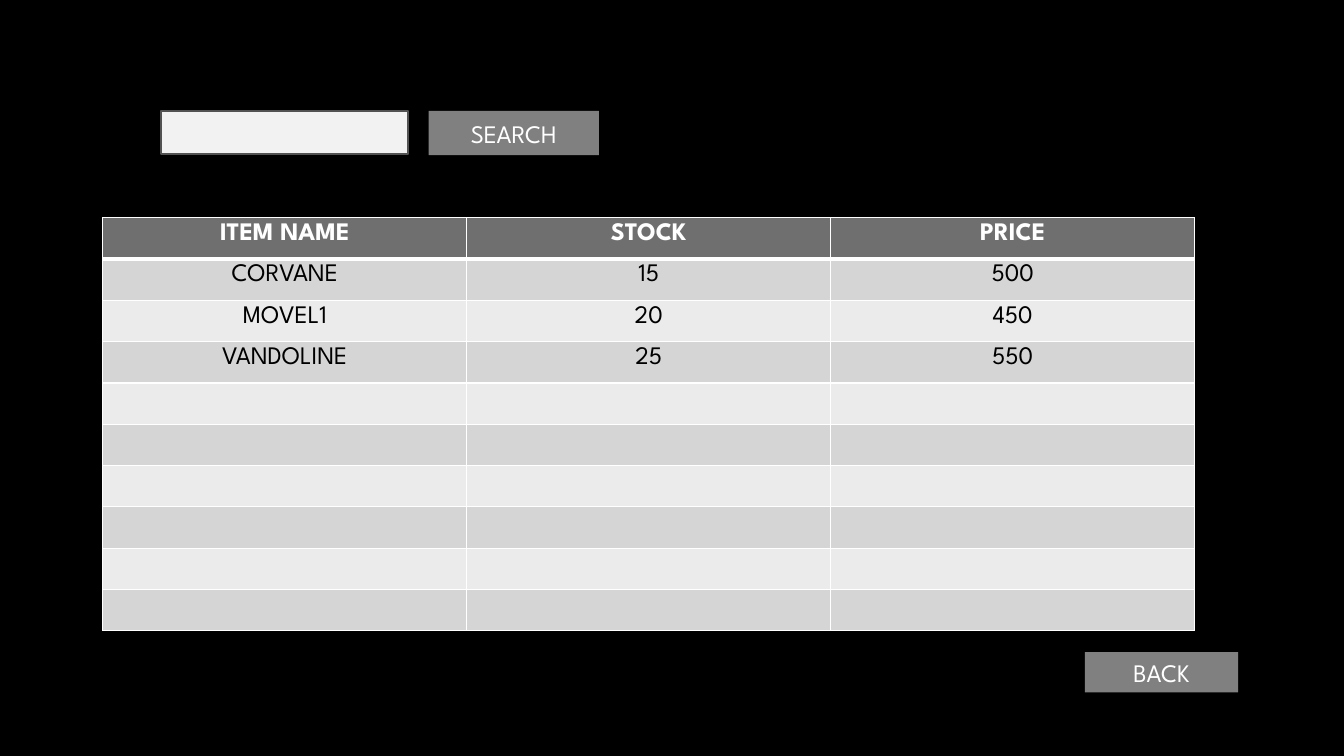
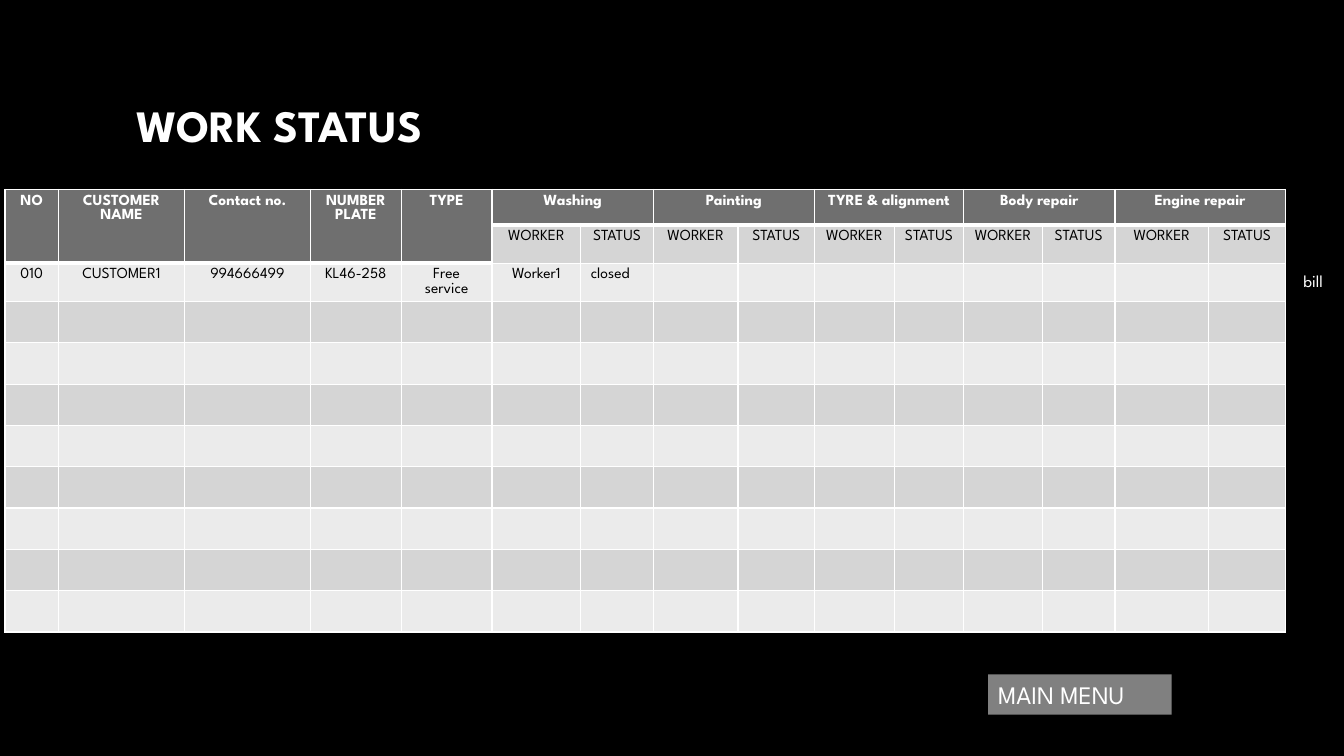
from lxml.etree import SubElement as Sub
from pptx import Presentation
from pptx.dml.color import RGBColor as Rgb
from pptx.enum.shapes import MSO_SHAPE as Geo
from pptx.enum.text import MSO_ANCHOR as Anchor, PP_ALIGN as Align
from pptx.oxml.ns import qn
from pptx.util import Inches, Pt

FONT = "League Spartan"
HUES = {
    "back": "000000", "ink": "000000", "light": "FFFFFF", "fade": "A6A6A6",
    "head": "6F6F6F", "odd": "D5D5D5", "even": "EBEBEB",
    "button": "808080", "field": "F2F2F2", "edge": "525252",
}


def hue(name):
    return Rgb.from_string(HUES[name])


class Deck:
    def __init__(self):
        self.prs = Presentation()
        self.prs.slide_width = Inches(13.33)
        self.prs.slide_height = Inches(7.5)
        self.slide = None

    def add(self, layout):
        self.slide = self.prs.slides.add_slide(self.prs.slide_layouts[layout])
        fill = self.slide.background.fill
        fill.solid()
        fill.fore_color.rgb = hue("back")

    def label(self, para, text, size, color="light", bold=False, align=Align.CENTER):
        para.alignment = align
        run = para.add_run()
        run.text = text
        font = run.font
        font.name, font.size, font.bold = FONT, Pt(size), bold
        font.color.rgb = hue(color)
        return run

    def title(self, box, text):
        shape = self.slide.shapes.title
        shape.left, shape.top, shape.width, shape.height = map(Inches, box)
        frame = shape.text_frame
        frame.vertical_anchor = Anchor.MIDDLE
        run = self.label(frame.paragraphs[0], text, 32, bold=True, align=Align.LEFT)
        fill = run.font.fill
        fill.gradient()
        fill.gradient_angle = 267
        for stop, name in zip(fill.gradient_stops, ("light", "fade")):
            stop.color.rgb = hue(name)

    def rect(self, box, fill="button", text="", size=18, align=Align.CENTER, line=None, width=0.75):
        shape = self.slide.shapes.add_shape(Geo.RECTANGLE, *map(Inches, box))
        shape.shadow.inherit = False
        shape.fill.solid()
        shape.fill.fore_color.rgb = hue(fill)
        if line:
            shape.line.color.rgb = hue(line)
            shape.line.width = Pt(width)
        else:
            shape.line.fill.background()
        if text:
            frame = shape.text_frame
            frame.word_wrap = True
            frame.vertical_anchor = Anchor.MIDDLE
            self.label(frame.paragraphs[0], text, size, align=align)

    def paint(self, cell, fill, top, base):
        props = cell._tc.get_or_add_tcPr()
        for side, width in (("L", 1), ("R", 1), ("T", top), ("B", base)):
            line = Sub(props, qn("a:ln" + side), w=str(Pt(width)))
            Sub(Sub(line, qn("a:solidFill")), qn("a:srgbClr"), val=HUES["light"])
        cell.fill.solid()
        cell.fill.fore_color.rgb = hue(fill)

    def grid(self, spot, cols, rows, data, size, spans=()):
        area = (*spot, sum(cols), sum(rows))
        frame = self.slide.shapes.add_table(len(rows), len(cols), *map(Inches, area))
        table = frame.table
        table.horz_banding = False
        for col, width in zip(table.columns, cols):
            col.width = Inches(width)
        for row, height in zip(table.rows, rows):
            row.height = Inches(height)
        for start, end in spans:
            table.cell(*start).merge(table.cell(*end))

        def top_row(r, c):
            return r == 0 or table.cell(r, c).is_spanned

        for r in range(len(rows)):
            for c in range(len(cols)):
                cell = table.cell(r, c)
                head = top_row(r, c)
                under = not head and top_row(r - 1, c)
                fill = "head" if head else ("even", "odd")[r % 2]
                self.paint(cell, fill, 3 if under else 1, 3 if head else 1)
                para = cell.text_frame.paragraphs[0]
                text = data[r][c] if r < len(data) and c < len(data[r]) else ""
                if text:
                    self.label(para, text, size, "light" if head else "ink", head)
                else:
                    Sub(para._p, qn("a:endParaRPr"), sz=str(size * 100))
        return table

    def save(self):
        self.prs.save("out.pptx")


def stock(deck):
    deck.add(6)
    data = [
        ("ITEM NAME", "STOCK", "PRICE"),
        ("CORVANE", "15", "500"),
        ("MOVEL1", "20", "450"),
        ("VANDOLINE", "25", "550"),
    ]
    deck.grid((1.02, 2.16), [3.61] * 3, [0.41] * 10, data, 18)
    deck.rect((4.25, 1.1, 1.69, 0.44), text="SEARCH")
    deck.rect((1.6, 1.1, 2.45, 0.43), "field", line="edge", width=1.5)
    deck.rect((10.76, 6.47, 1.52, 0.4), text="BACK")


def status(deck):
    deck.add(5)
    deck.title((1.25, 0.67, 4.48, 1.14), "WORK STATUS")
    fixed = ["NO", "CUSTOMER NAME", "Contact no.", "NUMBER PLATE", "TYPE"]
    jobs = ["Washing", "Painting", "TYRE & alignment", "Body repair", "Engine repair"]
    count = len(fixed)
    data = [
        fixed + [text for job in jobs for text in (job, "")],
        [""] * count + ["WORKER", "STATUS"] * len(jobs),
        ["010", "CUSTOMER1", "994666499", "KL46-258", "Free service", "Worker1", "closed"],
    ]
    spans = [((0, c), (1, c)) for c in range(count)]
    spans += [((0, c), (0, c + 1)) for c in range(count, count + 2 * len(jobs), 2)]
    cols = [0.53, 1.25, 1.25, 0.9, 0.9, 0.88, 0.72, 0.84, 0.76, 0.79, 0.69, 0.78, 0.72, 0.93, 0.76]
    rows = [0.35, 0.38, 0.38] + [0.41] * 8
    table = deck.grid((0.05, 1.88), cols, rows, data, 11, spans)
    table.cell(2, 6).text_frame.paragraphs[0].alignment = Align.LEFT
    deck.rect((9.8, 6.69, 1.82, 0.4), text="MAIN MENU", align=Align.LEFT)
    deck.rect((12.76, 2.64, 0.53, 0.3), "back", "bill", 12, line="back")


def main():
    deck = Deck()
    stock(deck)
    status(deck)
    deck.save()


if __name__ == "__main__":
    main()
